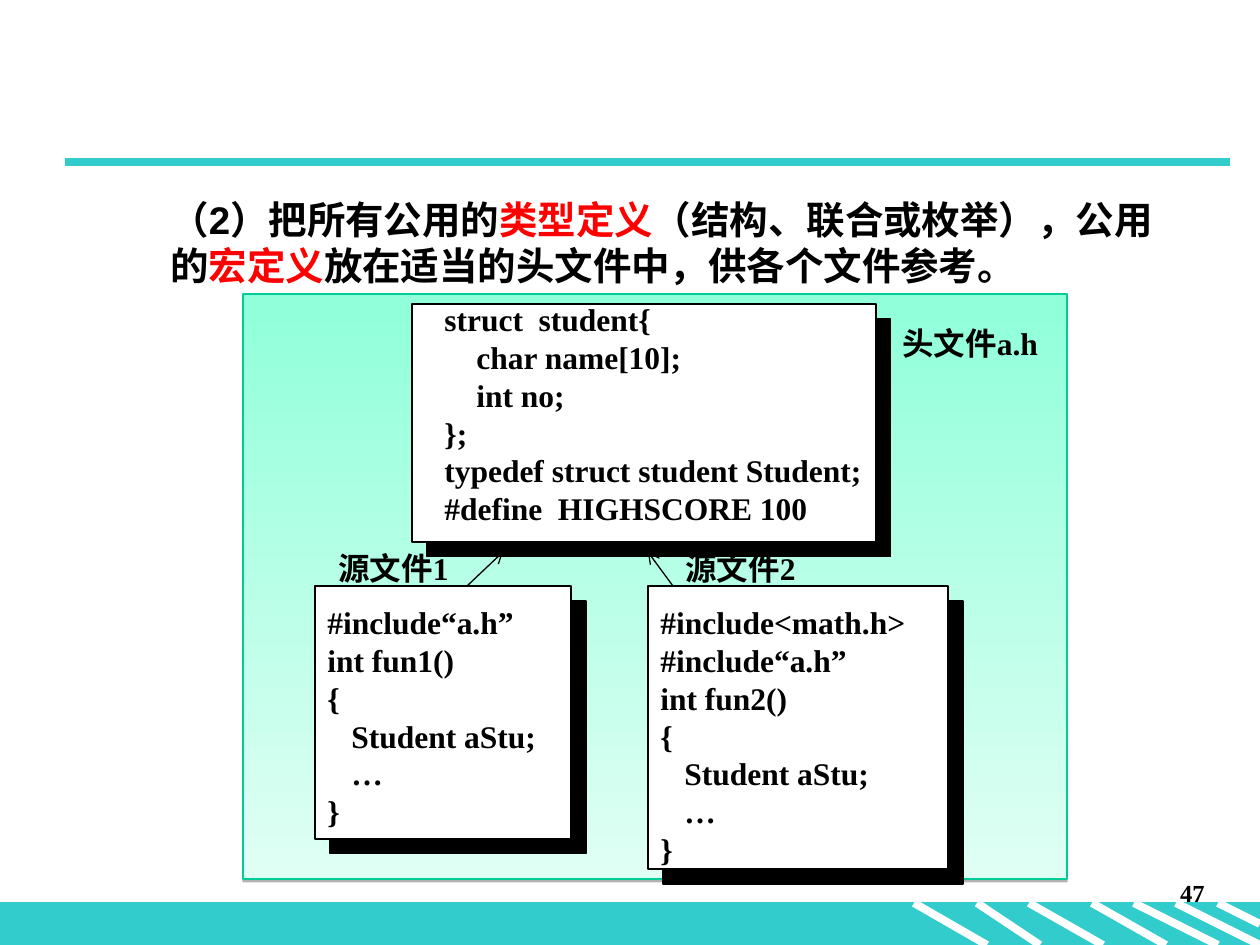
from dataclasses import dataclass
from lxml import etree
from pptx import Presentation
from pptx import util as u
from pptx.dml.color import RGBColor
from pptx.enum import shapes, text
from pptx.oxml.ns import qn


@dataclass
class Theme:
    teal: str = "33CCCC"
    white: str = "FFFFFF"
    black: str = "000000"
    red: str = "FF0000"
    mint: str = "90FFDA"
    pale: str = "E0FFF4"
    edge: str = "00CC98"
    sans: str = "Arial"
    serif: str = "Times New Roman"
    lead: int = 22
    code: int = 18
    note: int = 14
    thin: float = 0.74
    thick: float = 4.5


def px(n):
    return u.Emu(round(n * 914400 / 126))


def rgb(tone):
    return RGBColor.from_string(tone)


class Deck:
    def __init__(self, look):
        self.look = look
        self.file = Presentation()
        self.file.slide_width, self.file.slide_height = px(1260), px(945)
        self.slide = self.file.slides.add_slide(self.file.slide_layouts[6])

    def rect(self, x, y, w, h, fill, line, shade=None):
        box = self.slide.shapes.add_shape(
            shapes.MSO_SHAPE.RECTANGLE, px(x), px(y), px(w), px(h))
        box.shadow.inherit = False
        if isinstance(fill, tuple):
            box.fill.gradient()
            box.fill.gradient_angle = 270
            for stop, tone in zip(box.fill.gradient_stops, fill):
                stop.color.rgb = rgb(tone)
        else:
            box.fill.solid()
            box.fill.fore_color.rgb = rgb(fill)
        box.line.color.rgb = rgb(line)
        box.line.width = u.Pt(self.look.thin)
        if shade:
            self.shade(box, *shade)

    def shade(self, box, gap, angle, alpha):
        list_ = box.element.spPr.find(qn("a:effectLst"))
        drop = etree.SubElement(
            list_, qn("a:outerShdw"), blurRad="0", dist=str(u.Pt(gap)),
            dir=str(angle * 60000), algn="tl", rotWithShape="0")
        tone = etree.SubElement(drop, qn("a:srgbClr"), val=self.look.black)
        etree.SubElement(tone, qn("a:alpha"), val=str(alpha * 1000))

    def line(self, x1, y1, x2, y2, tone, width, arrow=False):
        rule = self.slide.shapes.add_connector(
            shapes.MSO_CONNECTOR.STRAIGHT, px(x1), px(y1), px(x2), px(y2))
        rule.line.color.rgb = rgb(tone)
        rule.line.width = u.Pt(width)
        if arrow:
            etree.SubElement(rule.line._get_or_add_ln(), qn("a:tailEnd"), type="arrow")
        etree.SubElement(rule._element.spPr, qn("a:effectLst"))

    def text(self, x, y, w, h, rows, size, font, wrap=False,
             align=text.PP_ALIGN.LEFT, before=0):
        frame = self.slide.shapes.add_textbox(px(x), px(y), px(w), px(h)).text_frame
        frame.word_wrap = wrap
        for i, (indent, runs) in enumerate(rows):
            para = frame.paragraphs[0] if i == 0 else frame.add_paragraph()
            para.alignment = align
            para.space_before = u.Pt(before)
            if indent:
                prop = para._p.get_or_add_pPr()
                prop.set("marL", str(px(indent)))
                prop.set("indent", "0")
            for words, tone in runs:
                run = para.add_run()
                run.text = words
                run.font.name = font
                run.font.size = u.Pt(size)
                run.font.bold = True
                run.font.color.rgb = rgb(tone)

    def code(self, x, y, w, h, rows):
        look = self.look
        rows = [(indent, [(words, look.black)]) for indent, words in rows]
        self.text(x, y, w, h, rows, look.code, look.serif)

    def card(self, x, y, w, h):
        look = self.look
        self.rect(x, y, w, h, look.white, look.black, (12.1, 45, 100))


look = Theme()
deck = Deck(look)

deck.rect(0, 903, 1260, 42, look.teal, look.teal)
stripes = [(914, 987, 945), (977, 1040, 945), (1029, 1103, 945), (1092, 1166, 945),
           (1134, 1218, 945), (1176, 1260, 945), (1218, 1260, 924)]
for left, right, foot in stripes:
    deck.line(left, 903, right, foot, look.white, look.thick)
deck.line(65, 162, 1230, 162, look.teal, look.thick)

lead = [("（2）把所有公用的", look.black), ("类型定义", look.red),
        ("（结构、联合或枚举），公用的", look.black), ("宏定义", look.red),
        ("放在适当的头文件中，供各个文件参考。", look.black)]
deck.text(95, 190, 1071, 635, [(63, lead)], look.lead, look.sans, True, before=5.5)
deck.text(955, 872, 262, 63, [(0, [("47", look.black)])], look.note, look.serif,
          True, text.PP_ALIGN.RIGHT, 8.8)

deck.rect(243, 294, 824, 585, (look.mint, look.pale), look.edge, (1.6, 90, 30))

tail = [(0, "{"), (24, "Student aStu;"), (24, "…"), (0, "}")]
include = (0, "#include“a.h”")
deck.card(648, 586, 300, 283)
deck.code(648, 597, 378, 315,
          [(0, "#include<math.h>"), include, (0, "int fun2()")] + tail)
deck.card(315, 586, 256, 253)
deck.code(315, 597, 289, 239, [include, (0, "int fun1()")] + tail)
deck.card(412, 304, 464, 238)

for x, y, name in [(890, 318, "头文件a.h"), (326, 543, "源文件1"), (673, 543, "源文件2")]:
    deck.code(x, y, 197, 50, [(0, name)])

for left, right in [(467, 503), (673, 648)]:
    deck.line(left, 586, right, 552, look.black, look.thin, True)

deck.code(432, 294, 444, 239, [
    (0, "struct  student{"), (32, "char name[10];"), (32, "int no;"), (0, "};"),
    (0, "typedef struct student Student;"), (0, "#define  HIGHSCORE 100")])

deck.file.save("out.pptx")
